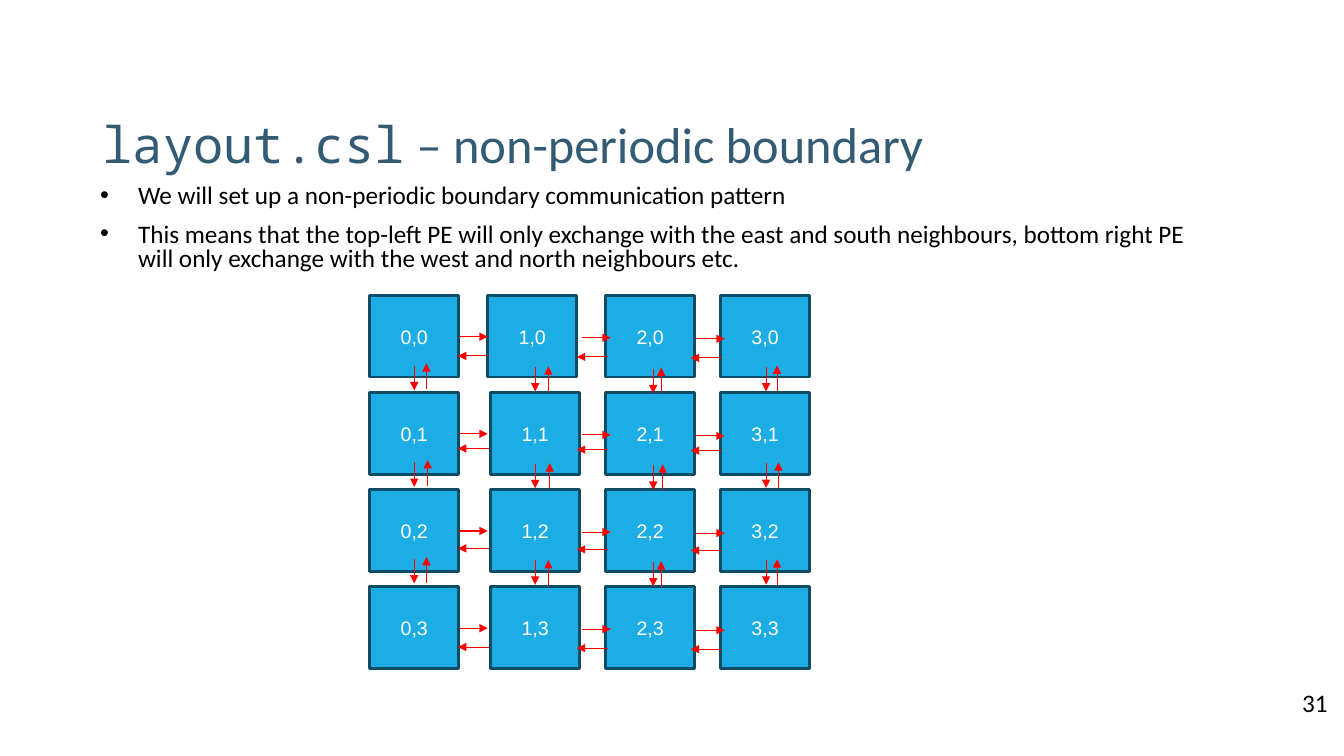
"""Build the slide on the non-periodic boundary exchange between PEs."""
from dataclasses import dataclass
from itertools import product

from lxml.etree import SubElement
from pptx import Presentation
from pptx.dml.color import RGBColor
from pptx.enum.shapes import MSO_CONNECTOR, MSO_SHAPE
from pptx.enum.text import MSO_ANCHOR, MSO_AUTO_SIZE, PP_ALIGN
from pptx.oxml.ns import qn
from pptx.util import Pt


@dataclass(frozen=True)
class Theme:
    heading: RGBColor = RGBColor(0x33, 0x5B, 0x74)
    ink: RGBColor = RGBColor(0, 0, 0)
    pe_fill: RGBColor = RGBColor(0x1C, 0xAD, 0xE4)
    pe_border: RGBColor = RGBColor(0x0C, 0x4C, 0x64)
    pe_ink: RGBColor = RGBColor(0xFF, 0xFF, 0xFF)
    arrow: RGBColor = RGBColor(0xFF, 0, 0)
    heading_size: int = Pt(36)
    text_size: int = Pt(18)
    pe_size: int = Pt(14)


theme = Theme()


def write(paragraph, words, face, size, color):
    run = paragraph.add_run()
    run.text = words
    for attribute, value in {"name": face, "size": size}.items():
        setattr(run.font, attribute, value)
    run.font.color.rgb = color


def exchange(x, y, dx, dy):
    arrow = slide.shapes.add_connector(
        MSO_CONNECTOR.STRAIGHT, Pt(x), Pt(y), Pt(x + dx), Pt(y + dy))
    arrow.line.width = Pt(0.75)
    arrow.line.color.rgb = theme.arrow
    SubElement(arrow.line._get_or_add_ln(), qn("a:tailEnd"), type="triangle")
    SubElement(arrow._element.spPr, qn("a:effectLst"))


presentation = Presentation()
presentation.slide_width, presentation.slide_height = Pt(960), Pt(540)
slide = presentation.slides.add_slide(presentation.slide_layouts[1])

heading = slide.shapes.title
explanation = slide.placeholders[1]
page_number = slide.shapes.add_textbox(0, 0, 0, 0)
frames = (
    (heading, 66.2, 53.3, 828, 104.4, MSO_ANCHOR.MIDDLE, True),
    (explanation, 55.4, 128.9, 808.6, 82.1, MSO_ANCHOR.TOP, True),
    (page_number, 923, 487.4, 37, 28.8, MSO_ANCHOR.TOP, False),
)
for part, left, top, width, height, anchor, wrap in frames:
    place = {"left": left, "top": top, "width": width, "height": height}
    for attribute, value in place.items():
        setattr(part, attribute, Pt(value))
    text_format = {"auto_size": MSO_AUTO_SIZE.NONE, "vertical_anchor": anchor,
                   "word_wrap": wrap}
    for attribute, value in text_format.items():
        setattr(part.text_frame, attribute, value)

heading_line = heading.text_frame.paragraphs[0]
for attribute, value in {"alignment": PP_ALIGN.LEFT, "line_spacing": 0.9}.items():
    setattr(heading_line, attribute, value)
for words, face in (("layout.csl", "Noto Sans Mono"),
                    (" – non-periodic boundary", "Calibri")):
    write(heading_line, words, face, theme.heading_size, theme.heading)

points = (
    "We will set up a non-periodic boundary communication pattern",
    "This means that the top-left PE will only exchange with the east and south "
    "neighbours, bottom right PE will only exchange with the west and north "
    "neighbours etc.",
)
for number, words in enumerate(points):
    body = explanation.text_frame
    point = body.add_paragraph() if number else body.paragraphs[0]
    point_format = {"line_spacing": 0.8, "space_before": Pt(10 if number else 0),
                    "alignment": PP_ALIGN.LEFT}
    for attribute, value in point_format.items():
        setattr(point, attribute, value)
    properties = point._p.get_or_add_pPr()
    properties.set("marL", str(Pt(36)))
    properties.set("indent", str(Pt(-27)))
    SubElement(properties, qn("a:buFont"), typeface="Arial")
    SubElement(properties, qn("a:buChar"), char="•")
    write(point, words, "Calibri", theme.text_size, theme.ink)

write(page_number.text_frame.paragraphs[0], "31", "Calibri",
      theme.text_size, theme.ink)

pe_lefts = (264.2, 350.6, 432.7, 514.8)
pe_top, row_pitch = 211, 69.4
for row, column in product(range(4), range(4)):
    nudge = 2.1 if (column, row) == (1, 0) else 0
    pe = slide.shapes.add_shape(
        MSO_SHAPE.RECTANGLE, Pt(pe_lefts[column] - nudge),
        Pt(pe_top + row * row_pitch), Pt(63.5), Pt(58.3))
    pe.shadow.inherit = False
    pe.fill.solid()
    pe.fill.fore_color.rgb = theme.pe_fill
    pe.line.color.rgb = theme.pe_border
    pe.line.width = Pt(2)
    pe.text_frame.vertical_anchor = MSO_ANCHOR.MIDDLE
    coordinate = pe.text_frame.paragraphs[0]
    coordinate.alignment = PP_ALIGN.CENTER
    write(coordinate, f"{column},{row}", "Arial", theme.pe_size, theme.pe_ink)

east_starts = (327.6, 415.4, 496.8)
west_starts = (349.2, 434.2, 515.5)
west_levels = (254.2, 320.4, 391.7, 462.2)
for row, column in product(range(4), range(3)):
    slope = 0.75 * column
    exchange(east_starts[column], 240.5 + row * row_pitch + slope, 20.8, 0)
    exchange(west_starts[column], west_levels[row] + slope, -22.1, 0)

south_starts = ((295.9, 261.2), (382.3, 262.1), (466.6, 263.3), (547.2, 262))
north_starts = ((304.6, 277.9), (391.7, 280.1), (472.3, 280.9), (555.1, 279.5))
for row, column in product(range(3), range(4)):
    south_x, south_y = south_starts[column]
    north_x, north_y = north_starts[column]
    exchange(south_x, south_y + row * 69, 0, 17.6)
    exchange(north_x + row % 2, north_y + row * 69.2, 0, -18.4)

presentation.save("out.pptx")
